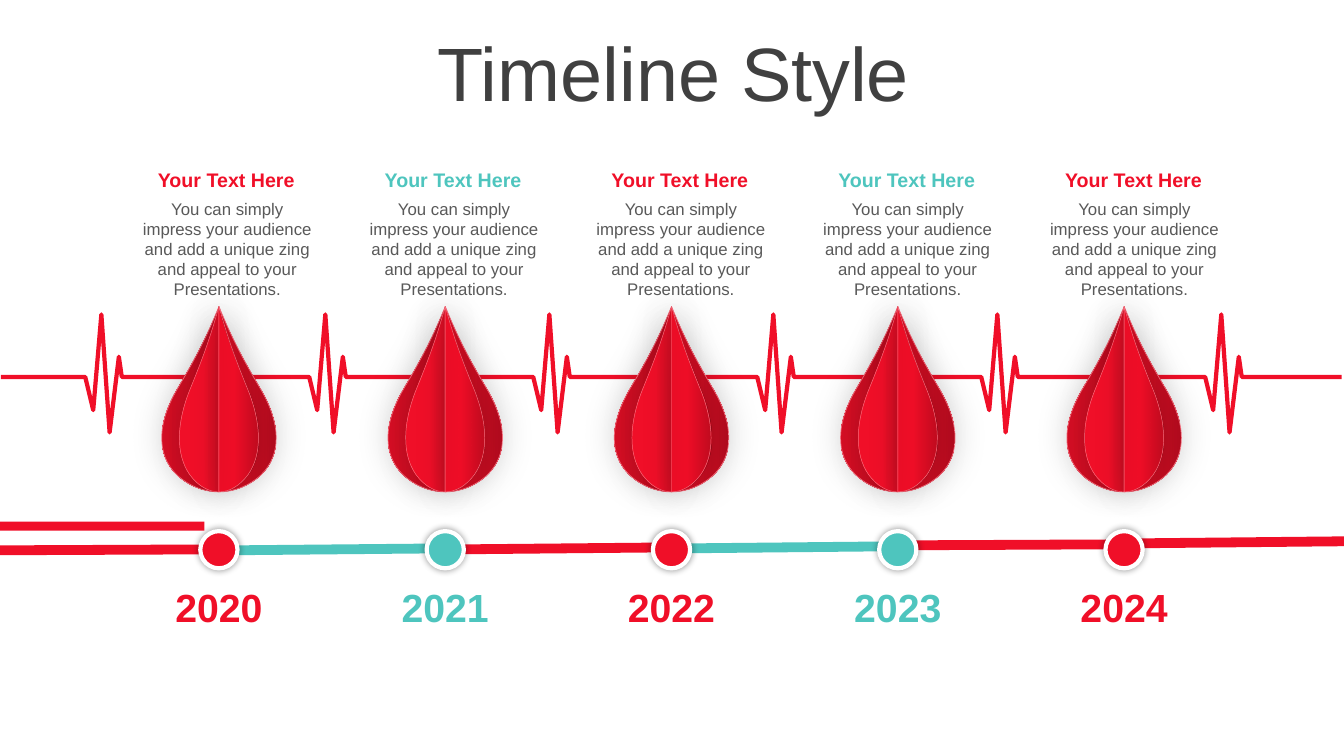
from dataclasses import dataclass

from lxml import etree
from pptx import Presentation
from pptx.dml.color import RGBColor
from pptx.enum.shapes import MSO_CONNECTOR, MSO_SHAPE
from pptx.enum.text import MSO_ANCHOR, MSO_AUTO_SIZE, PP_ALIGN
from pptx.oxml.ns import qn
from pptx.shapes.base import BaseShape
from pptx.shapes.shapetree import SlideShapes
from pptx.text.text import _Paragraph
from pptx.util import Pt

STRAIGHT = MSO_CONNECTOR.STRAIGHT
ELLIPSE, RECTANGLE = MSO_SHAPE.OVAL, MSO_SHAPE.RECTANGLE
CENTER, MIDDLE = PP_ALIGN.CENTER, MSO_ANCHOR.MIDDLE
NO_FIT, GROW = MSO_AUTO_SIZE.NONE, MSO_AUTO_SIZE.SHAPE_TO_FIT_TEXT

Point = tuple[float, float]


@dataclass(frozen=True)
class Theme:
    font: str = "Arial"
    red: str = "F00F28"
    teal: str = "4EC5BE"
    white: str = "FFFFFF"
    shadow: str = "000000"
    title: str = "404040"
    body: str = "595959"
    drop_edge: str = "F66F7E"
    drop_dark: str = "B40B1E"
    drop_shade: str = "C00C20"
    drop_fold: str = "CC0D22"
    drop_mid: str = "D80E24"
    title_size: float = 54
    year_size: float = 28
    heading_size: float = 14
    body_size: float = 12


THEME = Theme()


@dataclass(frozen=True)
class Milestone:
    year: str
    color: str


@dataclass(frozen=True)
class AxisSegment:
    start_y: float
    end_y: float
    color: str


@dataclass(frozen=True)
class GradientStop:
    position: int
    color: str
    opacity: int = 100


@dataclass(frozen=True)
class Petal:
    side: int
    width_scale: float
    line_width: float
    angle: int
    stops: tuple[GradientStop, ...]


MILESTONES = [Milestone(str(2020 + index), (THEME.red, THEME.teal)[index % 2]) for index in range(5)]
AXIS_SEGMENTS = [
    AxisSegment(393.1, 392.4, THEME.red),
    AxisSegment(393.1, 391.7, THEME.teal),
    AxisSegment(392.4, 391, THEME.red),
    AxisSegment(391.7, 390.2, THEME.teal),
    AxisSegment(389.5, 388.8, THEME.red),
    AxisSegment(388.1, 386.6, THEME.red),
]
PETALS = [
    Petal(-1, 1, 0.5, 180, (GradientStop(0, THEME.drop_dark), GradientStop(25, THEME.drop_shade),
                            GradientStop(100, THEME.drop_mid))),
    Petal(1, 1, 0.5, 0, (GradientStop(0, THEME.drop_mid), GradientStop(75, THEME.drop_shade),
                         GradientStop(100, THEME.drop_dark))),
    Petal(-1, 0.69, 0.35, 180, (GradientStop(0, THEME.drop_fold), GradientStop(40, THEME.red),
                                GradientStop(100, THEME.red))),
    Petal(1, 0.69, 0.35, 0, (GradientStop(0, THEME.red, 90), GradientStop(40, THEME.red),
                             GradientStop(100, THEME.drop_shade))),
]
DROP_TOP = 218.9
DROP_FOLD: list[Point] = [(0, 0), (0, 132.5)]
DROP_CURVES: list[Point] = [
    (10.8, 132.5), (21.6, 128.2), (30.2, 120.2),
    (37.8, 112.7), (40.9, 103.6), (40.9, 94),
    (40.9, 82.7), (36.5, 70.7), (30.2, 59.8),
    (18.7, 40.3), (10.1, 25.2), (0, 0),
]
BEAT: list[Point] = [(-11.5, 269.3), (-5.8, 293), (0, 224.6), (5.9, 308.9), (12.5, 254.9), (14.6, 269.3)]
BEAT_COUNT = 6
FIRST_CENTER, CENTER_STEP = 156.4, 161.64
HEADING = "Your Text Here"
BODY = "You can simply impress your audience and add a unique zing and appeal to your Presentations."


def rgb(color: str) -> RGBColor:
    return RGBColor.from_string(color)


def style_paragraph(paragraph: _Paragraph, size: float, color: str, bold: bool = False) -> None:
    paragraph.alignment = CENTER
    font = paragraph.font
    font.name, font.size, font.bold = THEME.font, Pt(size), bold
    font.color.rgb = rgb(color)


def add_text(shapes: SlideShapes, text: str, left: float, top: float, width: float, height: float,
             size: float, color: str, bold: bool = False) -> None:
    frame = shapes.add_textbox(Pt(left), Pt(top), Pt(width), Pt(height)).text_frame
    frame.word_wrap, frame.auto_size = True, GROW
    frame.text = text
    style_paragraph(frame.paragraphs[0], size, color, bold)


def add_color(parent: etree._Element, color: str, opacity: int) -> None:
    element = etree.SubElement(parent, qn("a:srgbClr"), val=color)
    if opacity < 100:
        etree.SubElement(element, qn("a:alpha"), val=str(opacity * 1000))


def add_shadow(shape: BaseShape, opacity: int, blur: float, distance: float, direction: int) -> None:
    effects = shape._element.spPr.find(qn("a:effectLst"))
    shadow = etree.SubElement(effects, qn("a:outerShdw"), blurRad=str(Pt(blur)), dist=str(Pt(distance)),
                              dir=str(direction * 60000), algn="ctr", rotWithShape="0")
    add_color(shadow, THEME.shadow, opacity)


def set_gradient(shape: BaseShape, angle: int, stops: tuple[GradientStop, ...]) -> None:
    shape.fill.gradient()
    shape.fill.gradient_angle = angle
    stop_list = shape._element.spPr.find(qn("a:gradFill")).find(qn("a:gsLst"))
    for child in list(stop_list):
        stop_list.remove(child)
    for stop in stops:
        element = etree.SubElement(stop_list, qn("a:gs"), pos=str(stop.position * 1000))
        add_color(element, stop.color, stop.opacity)


def add_outline(shapes: SlideShapes, points: list[Point], closed: bool, color: str, width: float) -> BaseShape:
    vertices = [(Pt(x), Pt(y)) for x, y in points]
    builder = shapes.build_freeform(*vertices[0])
    builder.add_line_segments(vertices[1:], close=closed)
    shape = builder.convert_to_shape()
    shape.shadow.inherit = False
    shape.line.color.rgb, shape.line.width = rgb(color), Pt(width)
    return shape


def bend_after_fold(shape: BaseShape) -> None:
    segments = list(shape._element.spPr.iter(qn("a:lnTo")))[1:]
    for first in range(0, len(segments), 3):
        curve = etree.Element(qn("a:cubicBezTo"))
        segments[first].addprevious(curve)
        for segment in segments[first:first + 3]:
            curve.append(segment[0])
            segment.getparent().remove(segment)


def add_heartbeat(shapes: SlideShapes) -> None:
    baseline = BEAT[0][1]
    for index in range(BEAT_COUNT):
        peak = 72.4 + 160 * index
        start = 0.7 if index == 0 else peak - 87.8
        end = 958.3 if index == BEAT_COUNT - 1 else peak + 73.4
        points = [(start, baseline), *((peak + x, y) for x, y in BEAT), (end, baseline)]
        add_outline(shapes, points, False, THEME.red, 3).fill.background()


def add_axis(shapes: SlideShapes) -> None:
    for index, segment in enumerate(AXIS_SEGMENTS):
        left = 4 + CENTER_STEP * index
        start = left if index else -2.2
        connector = shapes.add_connector(STRAIGHT, Pt(start), Pt(segment.start_y), Pt(left + 152), Pt(segment.end_y))
        connector.line.color.rgb, connector.line.width = rgb(segment.color), Pt(7)
        etree.SubElement(connector._element.spPr, qn("a:effectLst"))


def add_drop(shapes: SlideShapes, center: float) -> None:
    for petal in PETALS:
        points = [(center + petal.side * petal.width_scale * x, DROP_TOP + y) for x, y in DROP_FOLD + DROP_CURVES]
        shape = add_outline(shapes, points, True, THEME.drop_edge, petal.line_width)
        bend_after_fold(shape)
        set_gradient(shape, petal.angle, petal.stops)
        add_shadow(shape, 15, 25, 1, 270)


def add_solid(shapes: SlideShapes, kind: MSO_SHAPE, left: float, top: float, width: float, height: float,
              color: str) -> BaseShape:
    shape = shapes.add_shape(kind, Pt(left), Pt(top), Pt(width), Pt(height))
    shape.shadow.inherit = False
    shape.fill.solid()
    shape.fill.fore_color.rgb = rgb(color)
    shape.line.fill.background()
    return shape


def add_milestone(shapes: SlideShapes, index: int, milestone: Milestone) -> None:
    center = FIRST_CENTER + CENTER_STEP * index
    column = 92.9 + 162 * index
    add_text(shapes, milestone.year, center - 41.8, 413.3, 83.5, 41, THEME.year_size, milestone.color, True)
    add_text(shapes, BODY, column, 138.2, 139, 80, THEME.body_size, THEME.body)
    add_text(shapes, HEADING, column, 116.6, 137.5, 24.5, THEME.heading_size, milestone.color, True)
    add_drop(shapes, center)
    dot = add_solid(shapes, ELLIPSE, center - 13.3, 379.4, 26.6, 26.6, milestone.color)
    dot.line.color.rgb, dot.line.width = rgb(THEME.white), Pt(3)
    add_shadow(dot, 40, 5, 0, 0)


def main() -> None:
    presentation = Presentation()
    presentation.slide_width, presentation.slide_height = Pt(960), Pt(540)
    slide = presentation.slides.add_slide(presentation.slide_layouts[5])
    title = slide.shapes.title
    title.left, title.top, title.width, title.height = Pt(25.2), Pt(26.6), Pt(911.5), Pt(56.9)
    frame = title.text_frame
    frame.text = "Timeline Style"
    frame.auto_size, frame.vertical_anchor = NO_FIT, MIDDLE
    frame.paragraphs[0].line_spacing = 0.9
    style_paragraph(frame.paragraphs[0], THEME.title_size, THEME.title)
    add_heartbeat(slide.shapes)
    add_axis(slide.shapes)
    for index, milestone in enumerate(MILESTONES):
        add_milestone(slide.shapes, index, milestone)
    add_solid(slide.shapes, RECTANGLE, 0, 372.6, 146, 6.5, THEME.red)
    presentation.save("out.pptx")


if __name__ == "__main__":
    main()
